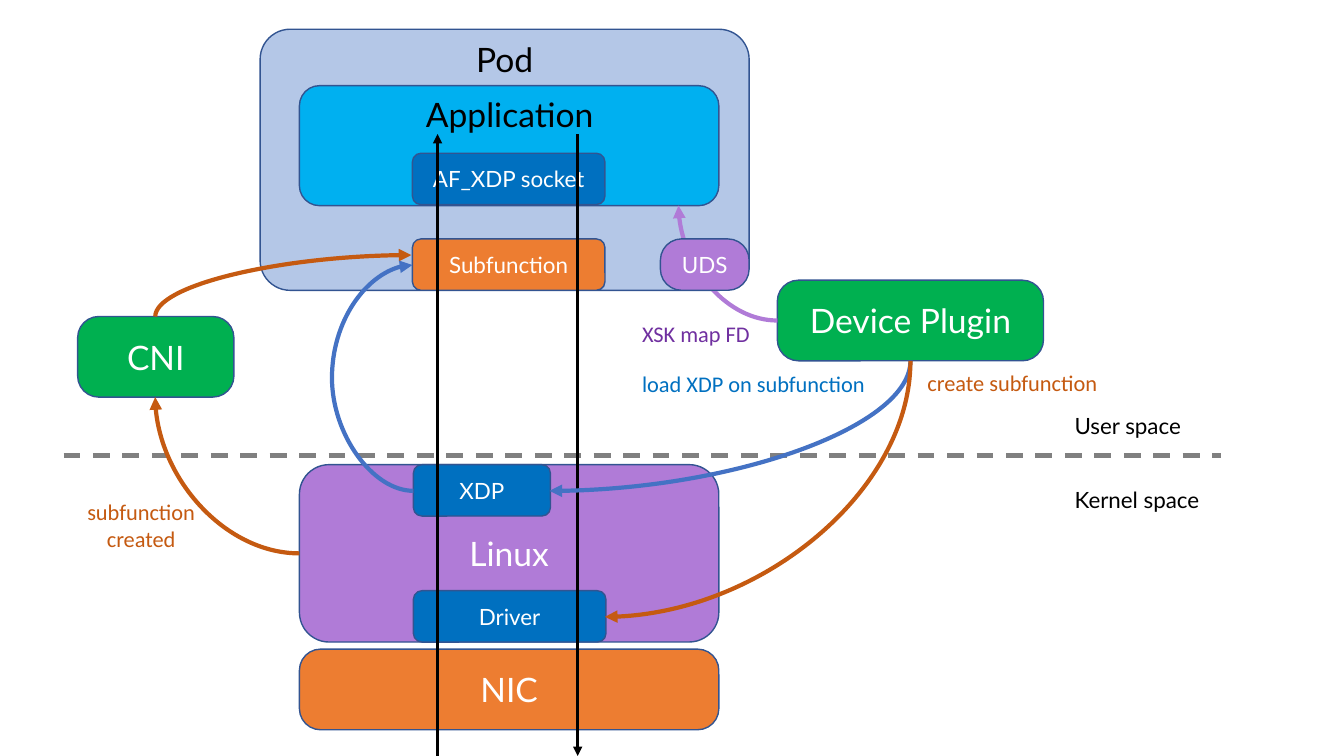
"""Build a slide showing how an AF_XDP device plugin and CNI wire a pod to the kernel."""
import dataclasses

import lxml.etree
import pptx
import pptx.dml.color
import pptx.enum.dml
import pptx.enum.shapes
import pptx.enum.text
import pptx.oxml.ns
import pptx.util


@dataclasses.dataclass(frozen=True)
class Theme:
    diagram_font: str = "Lato"
    label_font: str = "Calibri"
    large: int = 24
    small: int = 16
    outline: str = "325491"
    black: str = "000000"
    white: str = "FFFFFF"
    grey: str = "808080"
    pod: str = "B4C7E7"
    sky: str = "00B0F0"
    blue: str = "0070C0"
    curve_blue: str = "4472C4"
    lilac: str = "B07BD7"
    purple: str = "7030A0"
    orange: str = "ED7D31"
    rust: str = "C55A11"
    green: str = "00B050"


THEME = Theme()
DEFAULT_ROUNDING = 0.167

BACK_BOXES = [
    ("", 2.58, 0.29, 4.85, 2.59, THEME.pod, THEME.large, 0.115),
    ("", 2.97, 0.85, 4.16, 1.19, THEME.sky, THEME.large, DEFAULT_ROUNDING),
    ("Linux", 2.97, 4.61, 4.16, 1.76, THEME.lilac, THEME.large, DEFAULT_ROUNDING),
    ("NIC", 2.97, 6.44, 4.16, 0.8, THEME.orange, THEME.large, 0.262),
    ("AF_XDP socket", 4.09, 1.52, 1.91, 0.51, THEME.blue, THEME.small, DEFAULT_ROUNDING),
    ("Subfunction", 4.09, 2.37, 1.91, 0.51, THEME.orange, THEME.small, DEFAULT_ROUNDING),
    ("XDP", 4.1, 4.61, 1.36, 0.51, THEME.blue, THEME.small, DEFAULT_ROUNDING),
    ("Driver", 4.1, 5.86, 1.91, 0.51, THEME.blue, THEME.small, DEFAULT_ROUNDING),
    ("Device Plugin", 7.71, 2.78, 2.64, 0.8, THEME.green, THEME.large, 0.262),
    ("CNI", 0.77, 3.14, 1.55, 0.8, THEME.green, THEME.large, 0.262),
]
FRONT_BOXES = [("UDS", 6.55, 2.37, 0.88, 0.51, THEME.lilac, THEME.small, 0.413)]

DIVIDER = ((0.63, 4.52), (12.11, 4.52))
PACKET_PATHS = [((4.34, 7.5), (4.34, 1.33)), ((5.73, 1.33), (5.73, 7.5))]

LEAVES_SIDEWAYS, LEAVES_VERTICALLY = "sideways", "vertically"
QUARTER_CURVES = [
    ((9.03, 3.58), (5.45, 4.87), THEME.curve_blue, LEAVES_VERTICALLY),
    ((9.03, 3.58), (6.0, 6.12), THEME.rust, LEAVES_VERTICALLY),
    ((7.71, 3.18), (6.73, 2.04), THEME.lilac, LEAVES_SIDEWAYS),
    ((2.97, 5.49), (1.54, 3.94), THEME.rust, LEAVES_SIDEWAYS),
    ((1.54, 3.14), (4.08, 2.53), THEME.rust, LEAVES_VERTICALLY),
]
XDP_LOOP = ((4.1, 4.87), (4.09, 2.63))
XDP_LOOP_REACH = 0.82

LABELS = [
    ("Pod", 3.79, 0.34, 2.43, 0.5, THEME.black, THEME.large, THEME.diagram_font, True),
    ("Application", 3.84, 0.88, 2.43, 0.5, THEME.black, THEME.large, THEME.diagram_font, True),
    ("User space", 10.56, 4.04, 1.33, 0.37, THEME.black, THEME.small, THEME.diagram_font, False),
    ("Kernel space", 10.56, 4.77, 1.51, 0.37, THEME.black, THEME.small, THEME.diagram_font, False),
    ("create subfunction", 9.1, 3.61, 1.91, 0.37, THEME.rust, THEME.small, THEME.label_font, False),
    ("load XDP on subfunction", 6.27, 3.62, 2.44, 0.37, THEME.blue, THEME.small, THEME.label_font, False),
    ("XSK map FD", 6.27, 3.13, 1.28, 0.37, THEME.purple, THEME.small, THEME.label_font, False),
    ("subfunction\ncreated", 0.76, 4.89, 1.28, 0.64, THEME.rust, THEME.small, THEME.label_font, True),
]


def rgb(value):
    return pptx.dml.color.RGBColor.from_string(value)


def write_text(shape, text, color, size, font, centred):
    paragraph = shape.text_frame.paragraphs[0]
    paragraph.text = text
    if centred:
        paragraph.alignment = pptx.enum.text.PP_ALIGN.CENTER
    paragraph.font.name = font
    paragraph.font.size = pptx.util.Pt(size)
    paragraph.font.color.rgb = rgb(color)


def add_box(slide, text, left, top, width, height, fill, size, rounding):
    shape = slide.shapes.add_shape(
        pptx.enum.shapes.MSO_SHAPE.ROUNDED_RECTANGLE,
        *map(pptx.util.Inches, (left, top, width, height)),
    )
    shape.adjustments[0] = rounding
    shape.shadow.inherit = False
    shape.fill.solid()
    shape.fill.fore_color.rgb = rgb(fill)
    shape.line.color.rgb = rgb(THEME.outline)
    shape.line.width = pptx.util.Pt(1)
    if text:
        shape.text_frame.vertical_anchor = pptx.enum.text.MSO_ANCHOR.MIDDLE
        write_text(shape, text, THEME.white, size, THEME.diagram_font, True)


def add_label(slide, text, left, top, width, height, color, size, font, centred):
    label = slide.shapes.add_textbox(*map(pptx.util.Inches, (left, top, width, height)))
    label.text_frame.word_wrap = False
    write_text(label, text, color, size, font, centred)


def add_line(slide, start, end, color, width, arrow=True, curved=False):
    kinds = pptx.enum.shapes.MSO_CONNECTOR
    connector = slide.shapes.add_connector(
        kinds.CURVE if curved else kinds.STRAIGHT, *map(pptx.util.Inches, (*start, *end))
    )
    connector.line.color.rgb = rgb(color)
    connector.line.width = pptx.util.Pt(width)
    properties = connector._element.spPr
    if arrow:
        outline = properties.find(pptx.oxml.ns.qn("a:ln"))
        lxml.etree.SubElement(outline, pptx.oxml.ns.qn("a:tailEnd"), type="triangle")
    lxml.etree.SubElement(properties, pptx.oxml.ns.qn("a:effectLst"))
    return connector


def add_quarter_curve(slide, start, end, color, departure):
    rotation = 0
    if departure == LEAVES_VERTICALLY:
        rotation = 90 if end[1] > start[1] else 270
        middle_x, middle_y = (start[0] + end[0]) / 2, (start[1] + end[1]) / 2
        half_width, half_height = abs(end[1] - start[1]) / 2, abs(end[0] - start[0]) / 2
        start = (middle_x - half_width, middle_y - half_height)
        end = (middle_x + half_width, middle_y + half_height)
    properties = add_line(slide, start, end, color, 3, curved=True)._element.spPr
    properties.find(pptx.oxml.ns.qn("a:prstGeom")).set("prst", "curvedConnector2")
    if rotation:
        properties.find(pptx.oxml.ns.qn("a:xfrm")).set("rot", str(rotation * 60000))


def add_xdp_loop(slide):
    start, end = XDP_LOOP
    properties = add_line(slide, start, end, THEME.curve_blue, 3, curved=True)._element.spPr
    reach = round(XDP_LOOP_REACH / (start[0] - end[0]) * 100000)
    geometry = properties.find(pptx.oxml.ns.qn("a:prstGeom"))
    guides = geometry.find(pptx.oxml.ns.qn("a:avLst"))
    lxml.etree.SubElement(guides, pptx.oxml.ns.qn("a:gd"), name="adj1", fmla=f"val {reach}")


def main():
    presentation = pptx.Presentation()
    presentation.slide_width = pptx.util.Inches(13.33)
    presentation.slide_height = pptx.util.Inches(7.5)
    slide = presentation.slides.add_slide(presentation.slide_layouts[6])
    for box in BACK_BOXES:
        add_box(slide, *box)
    divider = add_line(slide, *DIVIDER, THEME.grey, 3, arrow=False)
    divider.line.dash_style = pptx.enum.dml.MSO_LINE.DASH
    for start, end in PACKET_PATHS:
        add_line(slide, start, end, THEME.black, 2.25)
    for curve in QUARTER_CURVES:
        add_quarter_curve(slide, *curve)
    add_xdp_loop(slide)
    for box in FRONT_BOXES:
        add_box(slide, *box)
    for label in LABELS:
        add_label(slide, *label)
    presentation.save("out.pptx")


if __name__ == "__main__":
    main()
